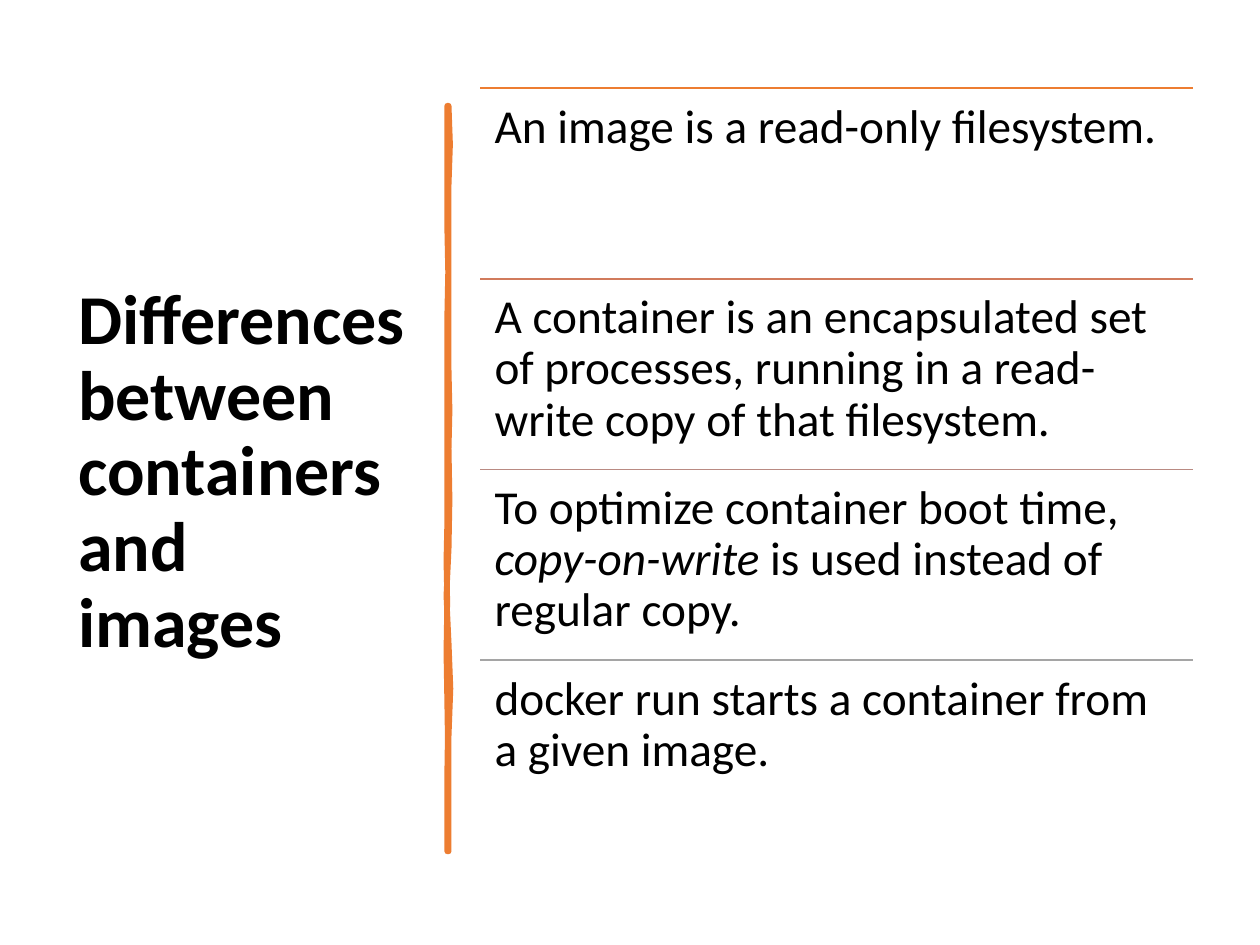
from lxml.etree import SubElement
from pptx import Presentation
from pptx.dml.color import RGBColor
from pptx.enum.shapes import MSO_CONNECTOR
from pptx.enum.text import MSO_ANCHOR
from pptx.oxml.ns import qn
from pptx.util import Pt

TITLE = "Differences between containers and images"
ACCENT = "ED7D31"
FACTS = [
    (ACCENT, ["An image is a read-only filesystem."]),
    ("D17B5C", ["A container is an encapsulated set of processes, running in a "
                "read-write copy of that filesystem."]),
    ("B98A82", ["To optimize container boot time, ", "copy-on-write",
                " is used instead of regular copy."]),
    ("A5A5A5", ["docker run starts a container from a given image."]),
]
RIGHT_EDGE = [(0.4, 0), (1.2, 22), (0.4, 45), (0.4, 151), (0.9, 174), (0.4, 196),
              (0.9, 225), (0.4, 253), (-0.9, 280), (0.4, 307), (1.4, 333), (0.4, 360),
              (0.4, 426)]
LEFT_EDGE = [(-0.4, 426), (-0.4, 381), (-0.1, 361), (-0.4, 341), (-0.9, 312), (-0.4, 283),
             (-0.9, 260), (-0.4, 238), (-0.4, 120), (0.1, 95), (-0.4, 70), (-0.4, 0)]


def color(hex_value):
    """Turn a hex string into a colour."""
    return RGBColor.from_string(hex_value)


def add_paragraph_box(slide, box, parts, size, insets, bold=False, anchor=MSO_ANCHOR.TOP):
    """Add one wrapped paragraph whose every second part is italic."""
    frame = slide.shapes.add_textbox(*map(Pt, box)).text_frame
    frame.word_wrap = True
    frame.vertical_anchor = anchor
    frame.margin_left = frame.margin_right = Pt(insets[0])
    frame.margin_top = frame.margin_bottom = Pt(insets[1])
    paragraph = frame.paragraphs[0]
    paragraph.line_spacing = 0.9
    for index, part in enumerate(parts):
        run = paragraph.add_run()
        run.text = part
        run.font.name = "Calibri"
        run.font.size = Pt(size)
        run.font.bold = bold
        run.font.italic = index % 2 == 1
        run.font.color.rgb = color("000000")


def add_brush_divider(slide, center, top):
    """Draw the hand-drawn vertical stroke around a centre line."""
    outline = [(Pt(center + dx), Pt(top + dy)) for dx, dy in RIGHT_EDGE + LEFT_EDGE]
    builder = slide.shapes.build_freeform(*outline[0])
    builder.add_line_segments(outline[1:], close=True)
    stroke = builder.convert_to_shape()
    stroke.shadow.inherit = False
    stroke.fill.solid()
    stroke.fill.fore_color.rgb = color(ACCENT)
    stroke.line.color.rgb = color(ACCENT)
    stroke.line.width = Pt(3.25)
    SubElement(stroke.line._get_or_add_ln(), qn("a:round"))


def add_facts(slide, left, top, width, height):
    """Stack the facts in equal rows, each under its own rule."""
    row_height = height / len(FACTS)
    for index, (rule_color, parts) in enumerate(FACTS):
        row_top = top + index * row_height
        rule = slide.shapes.add_connector(
            MSO_CONNECTOR.STRAIGHT, Pt(left), Pt(row_top), Pt(left + width), Pt(row_top))
        rule.line.color.rgb = color(rule_color)
        rule.line.width = Pt(1)
        SubElement(rule._element.spPr, qn("a:effectLst"))
        add_paragraph_box(slide, (left, row_top, width, row_height), parts, 27, (8.1, 8.1))


def main():
    """Build and save the slide."""
    presentation = Presentation()
    presentation.slide_width = Pt(720)
    presentation.slide_height = Pt(540)
    slide = presentation.slides.add_slide(presentation.slide_layouts[6])
    add_paragraph_box(slide, (37.8, 50.4, 201.6, 440), [TITLE], 40, (7.2, 3.6),
                      bold=True, anchor=MSO_ANCHOR.MIDDLE)
    add_brush_divider(slide, center=256, top=60.5)
    add_facts(slide, left=274.5, top=50.4, width=407.5, height=435.8)
    presentation.save("out.pptx")


if __name__ == "__main__":
    main()
